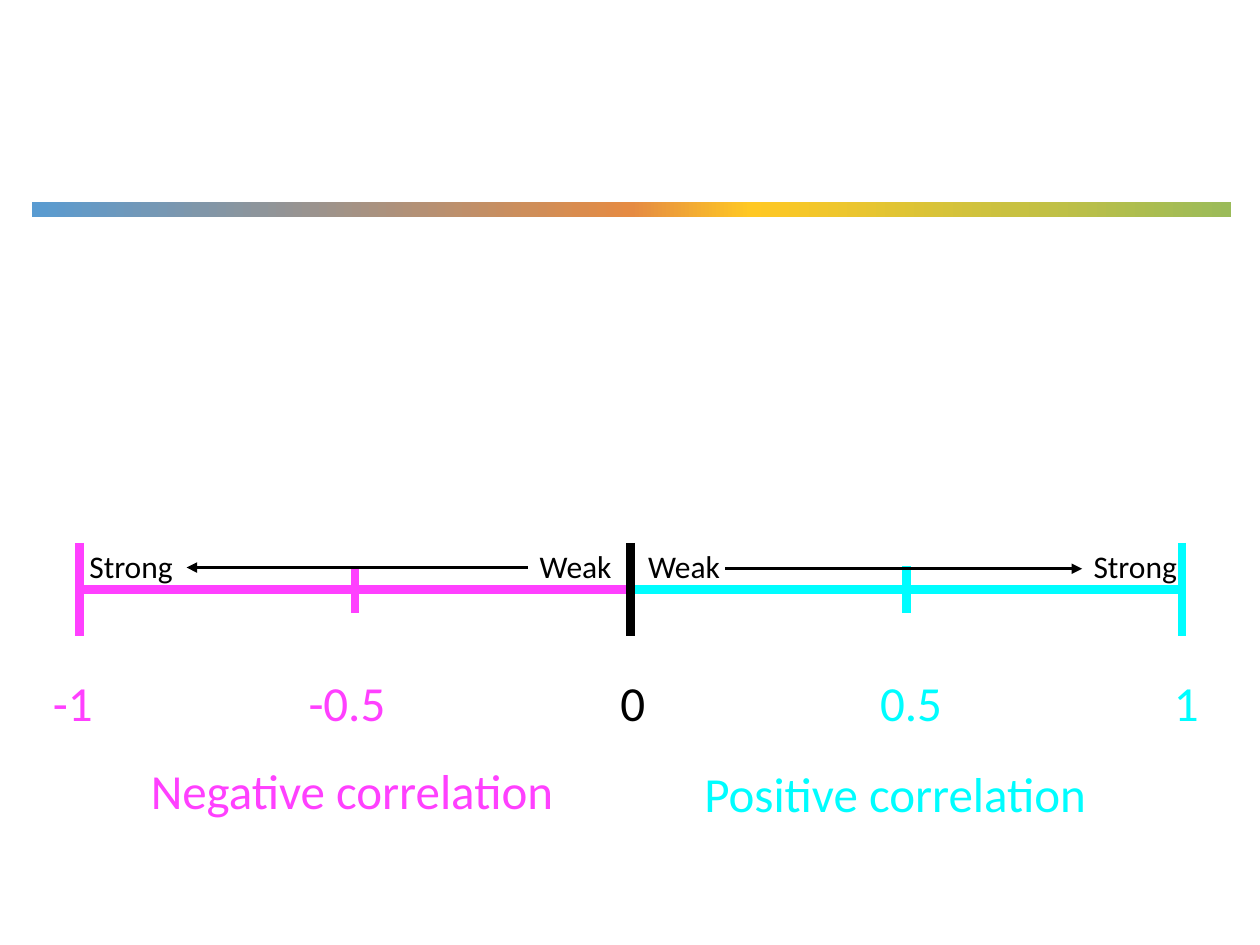
from lxml import etree
from pptx import Presentation
from pptx import util as u
from pptx.dml.color import RGBColor
from pptx.enum import shapes, text
from pptx.oxml import ns

BLACK = RGBColor(0x00, 0x00, 0x00)
PINK = RGBColor(0xFF, 0x40, 0xFF)
CYAN = RGBColor(0x00, 0xFD, 0xFF)
BLUE = RGBColor(0x59, 0x9B, 0xD1)
ORANGE = RGBColor(0xE5, 0x8B, 0x43)
YELLOW = RGBColor(0xFF, 0xC8, 0x24)
GREEN = RGBColor(0x9B, 0xBB, 0x59)
FONT = "Calibri"


def add_child(parent, tag, **attributes):
    return etree.SubElement(parent, ns.qn(tag), **attributes)


def add_line(page, start, end, color, weight, arrow=False):
    line = page.shapes.add_connector(
        shapes.MSO_CONNECTOR.STRAIGHT, *[u.Pt(value) for value in start + end])
    line.line.color.rgb = color
    line.line.width = u.Pt(weight)
    if arrow:
        add_child(line.line._get_or_add_ln(), "a:tailEnd", type="triangle")
    add_child(line._element.spPr, "a:effectLst")


def add_label(page, wording, center, top, width, height, size, color):
    box = page.shapes.add_textbox(
        u.Pt(center - width / 2), u.Pt(top), u.Pt(width), u.Pt(height))
    frame = box.text_frame
    frame.word_wrap = False
    frame.auto_size = text.MSO_AUTO_SIZE.SHAPE_TO_FIT_TEXT
    span = frame.paragraphs[0].add_run()
    span.text = wording
    span.font.name = FONT
    span.font.size = u.Pt(size)
    span.font.color.rgb = color


def draw_gradient_bar(page, left, top, width, height):
    bar = page.shapes.add_shape(
        shapes.MSO_SHAPE.RECTANGLE, u.Pt(left), u.Pt(top), u.Pt(width), u.Pt(height))
    bar.shadow.inherit = False
    bar.line.fill.background()
    bar.fill.gradient()
    bar.fill.gradient_angle = 0
    stops = bar._element.spPr.find(ns.qn("a:gradFill")).find(ns.qn("a:gsLst"))
    for stop in list(stops):
        stops.remove(stop)
    for percent, color in ((0, BLUE), (50, ORANGE), (60, YELLOW), (100, GREEN)):
        stop = add_child(stops, "a:gs", pos=str(percent * 1000))
        add_child(stop, "a:srgbClr", val=str(color))


def draw_correlation_scale(page, left, top, width, height):
    right, bottom = left + width, top + height
    center, middle = left + width / 2, top + height / 2

    add_line(page, (center, middle), (right, middle), CYAN, 5)
    add_line(page, (left, middle), (center, middle), PINK, 5)

    ticks = (
        ("-1", PINK, 1, -3.6, 37.4),
        ("-0.5", PINK, 0.5, -4.2, 59),
        ("0", BLACK, 1, 1.4, 28.8),
        ("0.5", CYAN, 0.5, 3.1, 50.4),
        ("1", CYAN, 1, 2.8, 28.8),
    )
    for index, (value, color, share, shift, label_width) in enumerate(ticks):
        x = left + width * index / (len(ticks) - 1)
        reach = height / 2 * share
        add_line(page, (x, middle - reach), (x, middle + reach), color, 5)
        add_label(page, value, x + shift, top + 70.6, label_width, 41, 28, color)

    for wording, color, x, drop, label_width in (
            ("Negative correlation", PINK, 157.2, 121, 247),
            ("Positive correlation", CYAN, 467.7, 122.4, 235.4)):
        add_label(page, wording, left + x, top + drop, label_width, 41, 28, color)

    for wording, x, label_width in (
            ("Strong", left + 29.9, 62.6), ("Strong", right - 26.3, 62.6),
            ("Weak", center + 31, 56.2), ("Weak", center - 31, 56.2)):
        add_label(page, wording, x, top - 1.4, label_width, 29, 18, BLACK)

    arrow_y = top + 14
    add_line(page, (center - 58.7, arrow_y), (left + 61.2, arrow_y), BLACK, 2, True)
    add_line(page, (center + 54, arrow_y + 0.7), (right - 57, arrow_y + 0.7), BLACK, 2, True)


deck = Presentation()
deck.slide_width, deck.slide_height = u.Pt(720), u.Pt(540)
page = deck.slides.add_slide(deck.slide_layouts[6])
draw_gradient_bar(page, 18, 115.3, 685.4, 8.6)
draw_correlation_scale(page, 45.4, 310.3, 630, 53.3)
deck.save("out.pptx")
